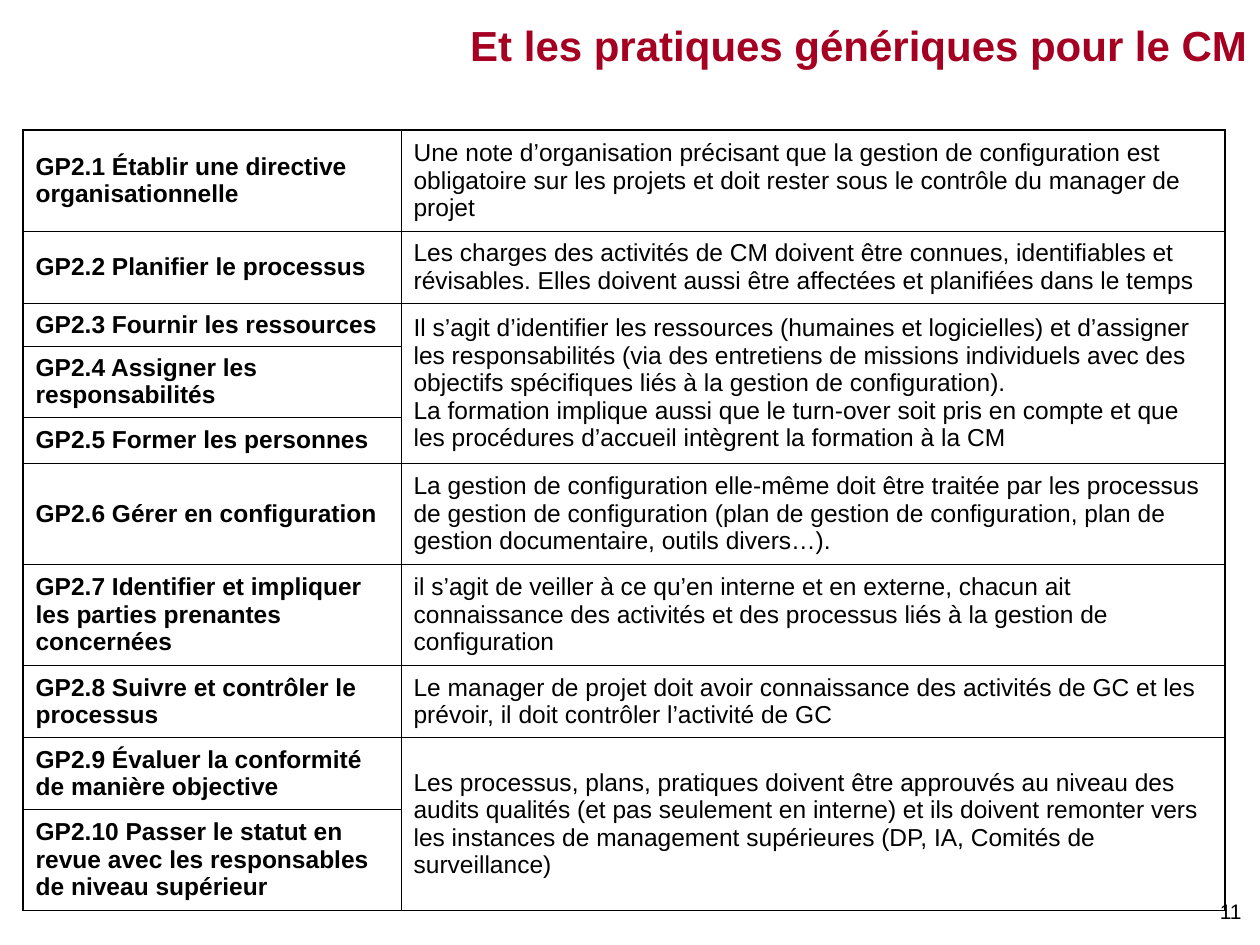
from dataclasses import dataclass
from typing import Any

from lxml import etree
from pptx import Presentation
from pptx import util as u
from pptx.dml.color import RGBColor
from pptx.enum import text
from pptx.oxml.ns import qn

PX_PER_INCH = 126
TITLE_ONLY = 5


@dataclass(frozen=True)
class Theme:
    font: str = "Arial"
    ink: str = "000000"
    accent: str = "A50021"
    title_size: int = 24
    body_size: int = 14
    number_size: int = 12
    outer_line: float = 1.08
    inner_line: float = 0.45


@dataclass(frozen=True)
class Practice:
    name: str
    height: int


@dataclass(frozen=True)
class Group:
    """Practices that share one description."""
    practices: tuple[Practice, ...]
    description: tuple[str, ...]


THEME = Theme()
COLUMN_WIDTHS = (378, 824)
GROUPS = (
    Group((Practice("GP2.1 Établir une directive organisationnelle", 101),),
          ("Une note d’organisation précisant que la gestion de configuration est "
           "obligatoire sur les projets et doit rester sous le contrôle du manager de projet",)),
    Group((Practice("GP2.2 Planifier le processus", 72),),
          ("Les charges des activités de CM doivent être connues, identifiables et "
           "révisables. Elles doivent aussi être affectées et planifiées dans le temps",)),
    Group((Practice("GP2.3 Fournir les ressources", 43),
           Practice("GP2.4 Assigner les responsabilités", 71),
           Practice("GP2.5 Former les personnes", 46)),
          ("Il s’agit d’identifier les ressources (humaines et logicielles) et d’assigner "
           "les responsabilités (via des entretiens de missions individuels avec des "
           "objectifs spécifiques liés à la gestion de configuration).",
           "La formation implique aussi que le turn-over soit pris en compte et que "
           "les procédures d’accueil intègrent la formation à la CM")),
    Group((Practice("GP2.6 Gérer en configuration", 101),),
          ("La gestion de configuration elle-même doit être traitée par les processus "
           "de gestion de configuration (plan de gestion de configuration, plan de "
           "gestion documentaire, outils divers…).",)),
    Group((Practice("GP2.7 Identifier et impliquer les parties prenantes concernées", 101),),
          ("il s’agit de veiller à ce qu’en interne et en externe, chacun ait "
           "connaissance des activités et des processus liés à la gestion de configuration",)),
    Group((Practice("GP2.8 Suivre et contrôler le processus", 72),),
          ("Le manager de projet doit avoir connaissance des activités de GC et les "
           "prévoir, il doit contrôler l’activité de GC",)),
    Group((Practice("GP2.9 Évaluer la conformité de manière objective", 72),
           Practice("GP2.10 Passer le statut en revue avec les responsables "
                    "de niveau supérieur", 101)),
          ("Les processus, plans, pratiques doivent être approuvés au niveau des "
           "audits qualités (et pas seulement en interne) et ils doivent remonter vers "
           "les instances de management supérieures (DP, IA, Comités de surveillance)",)),
)


def px(length: int) -> u.Emu:
    return u.Emu(round(length * u.Inches(1) / PX_PER_INCH))


def set_all(target: Any, **values: Any) -> None:
    for name, value in values.items():
        setattr(target, name, value)


def write(frame: Any, lines: tuple[str, ...], size: int, color: str = THEME.ink,
          bold: bool = False, **paragraph_format: Any) -> None:
    frame.text = "\n".join(lines)
    for paragraph in frame.paragraphs:
        set_all(paragraph, **paragraph_format)
        for run in paragraph.runs:
            set_all(run.font, name=THEME.font, size=u.Pt(size), bold=bold)
            run.font.color.rgb = RGBColor.from_string(color)


def draw_borders(cell: Any, outer_sides: dict[str, bool]) -> None:
    properties = cell._tc.get_or_add_tcPr()
    for side, is_outer in outer_sides.items():
        width = THEME.outer_line if is_outer else THEME.inner_line
        line = etree.SubElement(properties, qn(f"a:ln{side}"), w=str(u.Pt(width)))
        fill = etree.SubElement(line, qn("a:solidFill"))
        etree.SubElement(fill, qn("a:srgbClr"), val=THEME.ink)


def add_title(slide: Any) -> None:
    title = slide.shapes.title
    set_all(title, left=px(296), top=px(0), width=px(964), height=px(90))
    set_all(title.text_frame, word_wrap=True, auto_size=text.MSO_AUTO_SIZE.NONE,
            vertical_anchor=text.MSO_ANCHOR.MIDDLE)
    write(title.text_frame, ("Et les pratiques génériques pour le CM",), THEME.title_size,
          THEME.accent, bold=True, alignment=text.PP_ALIGN.RIGHT)


def add_page_number(slide: Any) -> None:
    box = slide.shapes.add_textbox(px(1133), px(892), px(121), px(38))
    set_all(box.text_frame, word_wrap=False, auto_size=text.MSO_AUTO_SIZE.SHAPE_TO_FIT_TEXT)
    write(box.text_frame, ("11",), THEME.number_size, alignment=text.PP_ALIGN.RIGHT)


def add_practice_table(slide: Any) -> None:
    practices = [practice for group in GROUPS for practice in group.practices]
    heights = [practice.height for practice in practices]
    table = slide.shapes.add_table(len(practices), len(COLUMN_WIDTHS), px(23), px(130),
                                   px(sum(COLUMN_WIDTHS)), px(sum(heights))).table
    set_all(table, first_row=False, horz_banding=False)
    for column, width in zip(table.columns, COLUMN_WIDTHS):
        column.width = px(width)
    last_row, last_column = len(practices) - 1, len(COLUMN_WIDTHS) - 1
    for i, practice in enumerate(practices):
        table.rows[i].height = px(practice.height)
        for j in range(len(COLUMN_WIDTHS)):
            cell = table.cell(i, j)
            draw_borders(cell, {"L": j == 0, "R": j == last_column,
                                "T": i == 0, "B": i == last_row})
            cell.fill.background()
            set_all(cell, vertical_anchor=text.MSO_ANCHOR.MIDDLE, margin_right=u.Inches(0.18))
        write(table.cell(i, 0).text_frame, (practice.name,), THEME.body_size,
              bold=True, space_before=u.Pt(3.5))

    first = 0
    for group in GROUPS:
        last = first + len(group.practices) - 1
        cell = table.cell(first, 1)
        if last > first:
            cell.merge(table.cell(last, 1))
        write(cell.text_frame, group.description, THEME.body_size)
        first = last + 1


def main() -> None:
    presentation = Presentation()
    set_all(presentation, slide_width=px(1260), slide_height=px(945))
    slide = presentation.slides.add_slide(presentation.slide_layouts[TITLE_ONLY])
    add_page_number(slide)
    add_title(slide)
    add_practice_table(slide)
    presentation.save("out.pptx")


if __name__ == "__main__":
    main()
